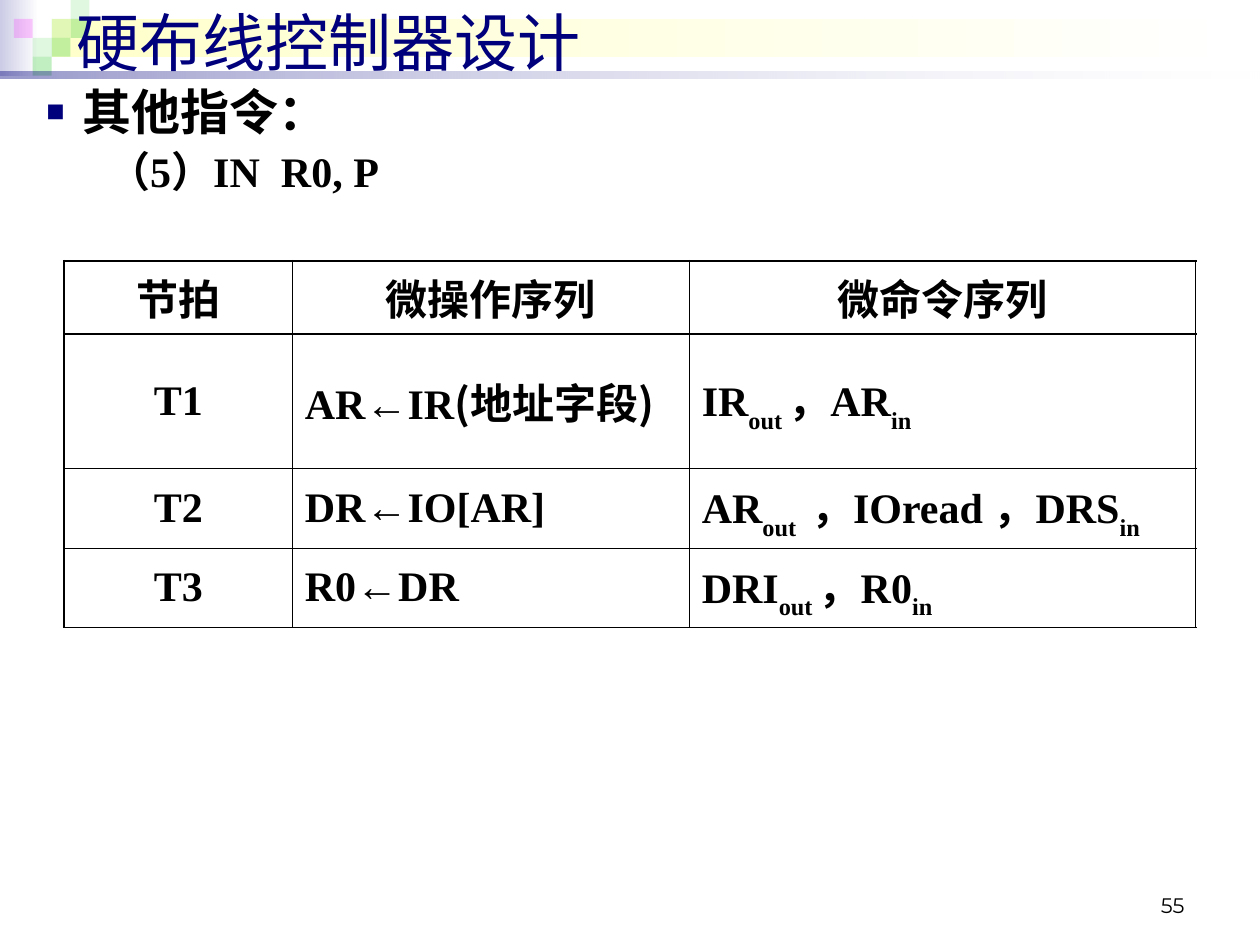
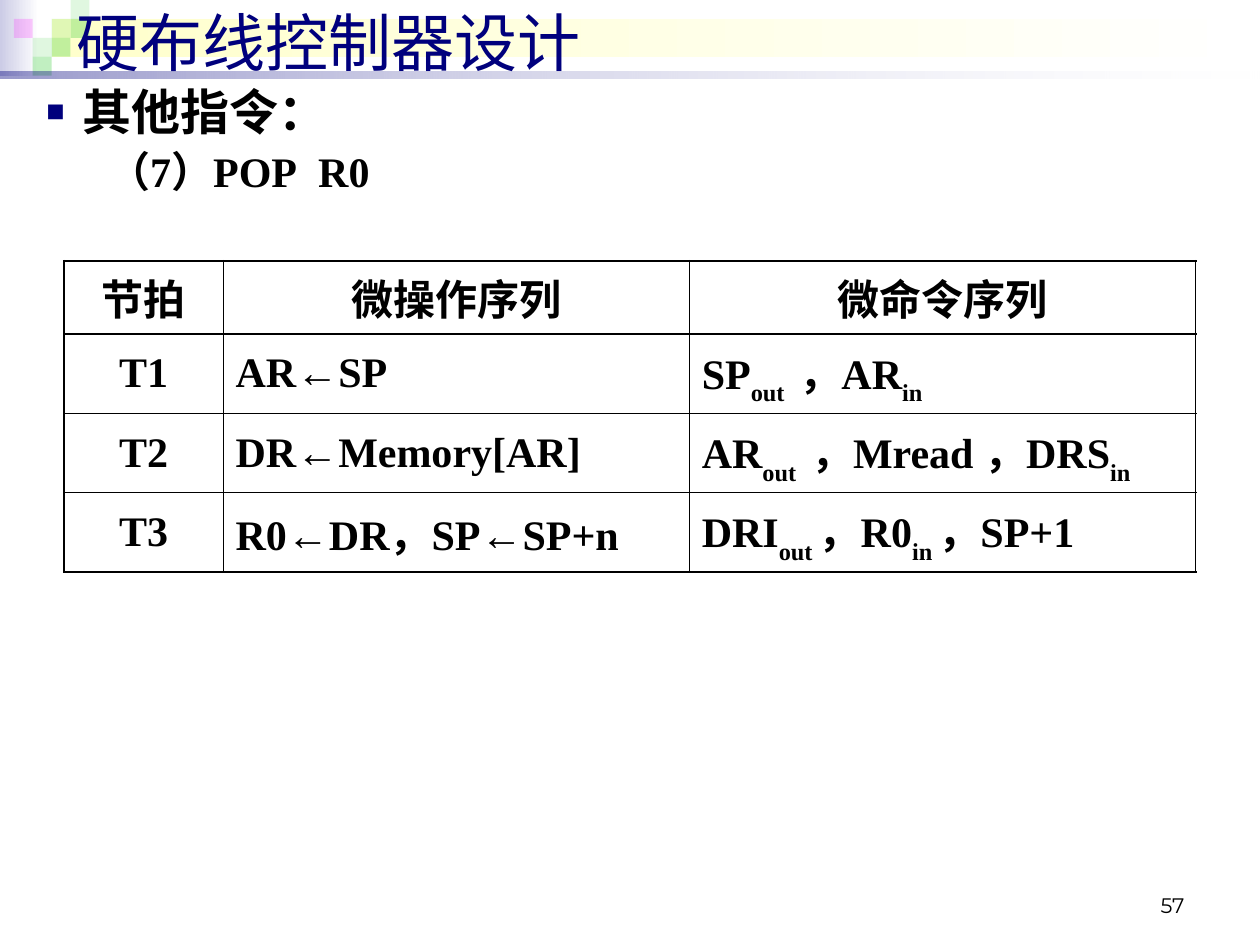
from lxml import etree
from pptx import Presentation
from pptx.dml.color import RGBColor
from pptx.enum import shapes, text as t
from pptx.oxml import ns
from pptx.util import Inches, Pt

TITLE = "硬布线控制器设计"
TOPIC = "其他指令："
HEAD = ["节拍", "微操作序列", "微命令序列"]
SANS = {"font": "Noto Sans CJK SC"}

# In a cell, the parts between bars are in turn normal and subscript;
# a tilde at the end of a part is a wide space.
PAGES = [
    {"no": "55", "code": ("（5）IN", "R0, P"), "cols": (1.81, 3.15, 4.02),
     "high": (0.58, 1.07, 0.63, 0.63),
     "rows": [
         ["T1", [("AR←IR", {}), ("(", SANS), ("地址字段", {}), (")", SANS)],
          "IR|out |，AR|in"],
         ["T2", "DR←IO[AR]", "AR|out~|，IOread ，DRS|in"],
         ["T3", "R0←DR", "DRI|out |，R0|in"]]},
    {"no": "57", "code": ("（7）POP", "R0"), "cols": (1.26, 3.7, 4.02),
     "high": (0.58, 0.63, 0.63, 0.63),
     "rows": [
         ["T1", "AR←SP", "SP|out~|，AR|in"],
         ["T2", "DR←Memory[AR]", "AR|out~|，Mread ，DRS|in"],
         ["T3", "R0←DR，SP←SP+n", "DRI|out |，R0|in |，SP+1"]]},
]

NAVY, BLACK, WHITE, GREEN, PINK = "00007D", "000000", "FFFFFF", "33CC33", "FF00FF"
THICK, MID, THIN = 1.08, 0.45, 0.34
UNIT, EDGE = 0.15, 0.11
# column, row, colour, opacity in percent
TILES = [(2, 1, GREEN, 15), (3, 0, GREEN, 15), (3, 1, GREEN, 30), (1, 2, GREEN, 15),
         (0, 1, PINK, 20), (2, 2, GREEN, 30), (1, 3, GREEN, 30)]


def rgb(code):
    return RGBColor.from_string(code)


def sub(node, tag, **attrs):
    return etree.SubElement(node, ns.qn("a:" + tag), {k: str(v) for k, v in attrs.items()})


def tint(node, code, alpha=100):
    """Add a colour with an opacity in percent."""
    clr = sub(node, "srgbClr", val=code)
    if alpha < 100:
        sub(clr, "alpha", val=alpha * 1000)


def rect(slide, x, y, w, h, *stops):
    """Draw a bare rectangle; two stops fade from right to left."""
    box = slide.shapes.add_shape(shapes.MSO_SHAPE.RECTANGLE, *map(Inches, (x, y, w, h)))
    box.shadow.inherit = False
    box.line.fill.background()
    if len(stops) == 1:
        box.fill.solid()
        box.fill.fore_color.rgb = rgb(stops[0][0])
        clr = box.fill._xPr.find(".//" + ns.qn("a:srgbClr"))
        sub(clr, "alpha", val=stops[0][1] * 1000)
        return
    box.fill.gradient()
    box.fill.gradient_angle = 180
    gs = box.fill._xPr.find(".//" + ns.qn("a:gsLst"))
    for old in list(gs):
        gs.remove(old)
    for pos, stop in zip((0, 100000), stops):
        tint(sub(gs, "gs", pos=pos), *stop)


def parts(words):
    """Turn a marked string into (text, format) pairs."""
    runs = []
    for i, part in enumerate(words.split("|")):
        base = -30 * (i % 2)
        runs.append((part.rstrip("~"), {"base": base}))
        if part.endswith("~"):
            runs.append((" ", {"base": base, "space": 5}))
    return runs


def write(para, runs, size=24, font="Times New Roman", color=BLACK, bold=True,
          align=t.PP_ALIGN.LEFT):
    """Fill a paragraph from a marked string or from (text, format) pairs."""
    para.alignment = align
    for words, form in parts(runs) if isinstance(runs, str) else runs:
        run = para.add_run()
        run.text = words
        f = run.font
        f.size, f.bold, f.name = Pt(size), bold, form.get("font", font)
        f.color.rgb = rgb(color)
        props = run._r.get_or_add_rPr()
        if form.get("base"):
            props.set("baseline", str(form["base"] * 1000))
        if form.get("space"):
            props.set("spc", str(form["space"] * 100))
        sub(props, "ea", typeface="Noto Sans CJK SC")


def frame(slide, x, y, w, h, anchor):
    tf = slide.shapes.add_textbox(*map(Inches, (x, y, w, h))).text_frame
    tf.word_wrap, tf.vertical_anchor = True, anchor
    return tf


def indent(para, left, first):
    props = para._p.get_or_add_pPr()
    props.set("marL", str(Inches(left)))
    props.set("indent", str(Inches(first)))
    return props


def border(cell, **sides):
    props = cell._tc.get_or_add_tcPr()
    for i, (side, width) in enumerate(sides.items()):
        line = sub(props, "ln" + side, w=Pt(width))
        tint(sub(line, "solidFill"), BLACK)
        props.insert(i, line)


def grid(slide, cols, high, rows):
    rows = [HEAD] + rows
    shape = slide.shapes.add_table(len(rows), len(cols), *map(
        Inches, (0.51, 2.07, sum(cols), sum(high))))
    table = shape.table
    table.first_row = table.horz_banding = False
    for col, w in zip(table.columns, cols):
        col.width = Inches(w)
    end, last = len(rows) - 1, len(cols) - 1
    for r, row in enumerate(rows):
        table.rows[r].height = Inches(high[r])
        for c, words in enumerate(row):
            cell = table.cell(r, c)
            cell.fill.background()
            cell.vertical_anchor = t.MSO_ANCHOR.MIDDLE
            mid = r == 0 or c == 0
            write(cell.text_frame.paragraphs[0], words,
                  align=t.PP_ALIGN.CENTER if mid else t.PP_ALIGN.LEFT)
            border(cell, L=MID if c else THICK, R=THICK if c == last else MID,
                   T=THICK if r < 2 else THIN, B=THICK if r in (0, end) else THIN)


def band(slide):
    rect(slide, 0, 0, 0.31, 0.6, (WHITE,), ("CCCCE6",))
    rect(slide, 0.41, 0.15, 9.55, 0.3, (WHITE,), ("FFFFCC",))
    for col, row, code, alpha in TILES:
        rect(slide, EDGE + col * UNIT, row * UNIT, UNIT, UNIT, (code, alpha))
    rect(slide, 0, 0.57, 10, 0.05, (WHITE, 10), (NAVY, 40))


def topic(slide, code):
    tf = frame(slide, 0.27, 0.6, 9.61, 1.02, t.MSO_ANCHOR.TOP)
    top, low = tf.paragraphs[0], tf.add_paragraph()
    props = indent(top, 0.29, -0.29)
    tint(sub(props, "buClr"), NAVY)
    sub(props, "buSzPct", val=62000)
    sub(props, "buFont", typeface="Arial")
    sub(props, "buChar", char="■")
    write(top, TOPIC, size=28)
    indent(low, 0.79, -0.3)
    low.level, low.space_before = 1, Pt(3)
    verb, args = code
    write(low, [(verb, {}), (" ", {"space": 6}), (args, {})])


def main():
    deck = Presentation()
    deck.slide_width, deck.slide_height = Inches(10), Inches(7.5)
    for page in PAGES:
        slide = deck.slides.add_slide(deck.slide_layouts[6])
        band(slide)
        name = frame(slide, 0.51, -0.03, 9.37, 0.71, t.MSO_ANCHOR.MIDDLE)
        write(name.paragraphs[0], TITLE, size=36, font="Arial", color=NAVY, bold=False)
        topic(slide, page["code"])
        grid(slide, page["cols"], page["high"], page["rows"])
        foot = frame(slide, 7.17, 6.83, 2.33, 0.5, t.MSO_ANCHOR.BOTTOM)
        write(foot.paragraphs[0], page["no"], size=12, font="Montserrat", bold=False,
              align=t.PP_ALIGN.RIGHT)
    deck.save("out.pptx")


if __name__ == "__main__":
    main()
